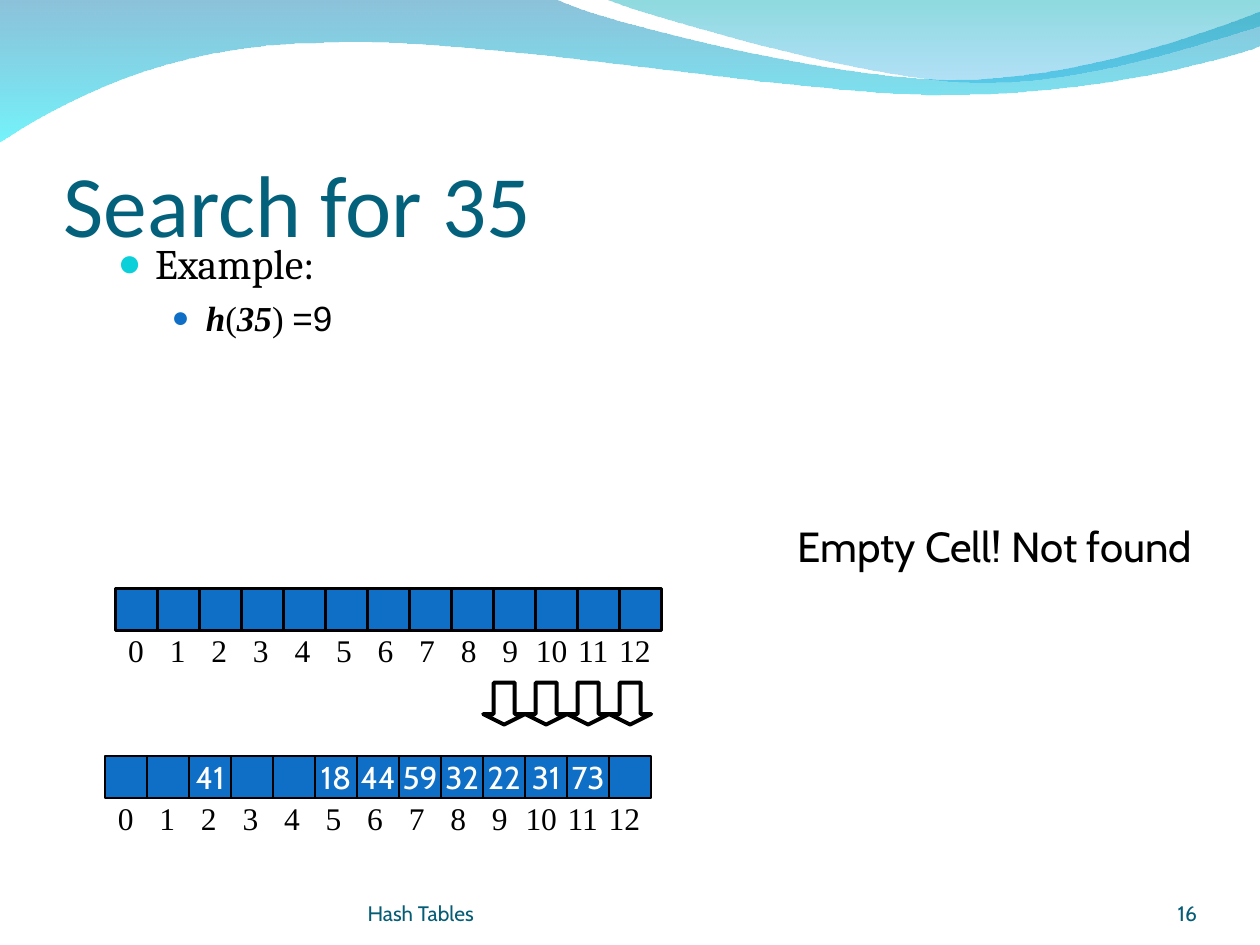
from dataclasses import dataclass

from lxml.etree import SubElement
from pptx import Presentation
from pptx.dml.color import RGBColor
from pptx.enum.shapes import MSO_SHAPE as Preset
from pptx.enum.text import MSO_ANCHOR as Anchor, MSO_AUTO_SIZE as AutoSize, PP_ALIGN as Align
from pptx.oxml.ns import qn
from pptx.util import Cm, Pt


@dataclass(frozen=True)
class Theme:
    """Colours, typefaces and type sizes of the slide."""
    ink: str = "000000"
    paper: str = "FFFFFF"
    heading: str = "04617B"
    footer: str = "045C75"
    cell: str = "0F6FC6"
    bullet: str = "0BD0D9"
    heading_face: str = "Calibri"
    body_face: str = "Cambria"
    math_face: str = "Times New Roman"
    result_face: str = "Arial"
    plain_face: str = "Cabin"
    heading_size: int = 50
    body_size: int = 24
    sub_size: int = 20
    cell_size: int = 18
    footer_size: int = 12
    left_wave: tuple = (("0079AF", 45), ("00EBF8", 55))
    right_wave: tuple = (("00ADB6", 45), ("009BE5", 30))


THEME = Theme()
INCH = 2.54
CELL = INCH / 3
LABEL_PITCH = 0.99 * CELL
PADDING = (0.25, 0.13, 0.25, 0.13)
TABLE_SIZE = 13
STORED_KEYS = {2: 41, 5: 18, 6: 44, 7: 59, 8: 32, 9: 22, 10: 31, 11: 73}
HOME_CELL = 9


def rgb(code):
    """Return a colour from its hex code."""
    return RGBColor.from_string(code)


def add_run(paragraph, text, face, size, color, bold=False, italic=False):
    """Append one styled run to a paragraph."""
    run = paragraph.add_run()
    run.text = text
    font = run.font
    font.name, font.size, font.bold, font.italic = face, Pt(size), bold, italic
    font.color.rgb = rgb(color)


def set_frame(frame, insets, anchor=Anchor.TOP, wrap=True):
    """Set the insets, anchor and wrapping of a text frame."""
    frame.margin_left, frame.margin_top, frame.margin_right, frame.margin_bottom = map(Cm, insets)
    frame.vertical_anchor = anchor
    frame.word_wrap = wrap


def add_text(slide, box, text, face, size, color, align=Align.LEFT,
             anchor=Anchor.TOP, insets=PADDING, wrap=True):
    """Place a one-line text in a box."""
    frame = slide.shapes.add_textbox(*map(Cm, box)).text_frame
    set_frame(frame, insets, anchor, wrap)
    if not wrap:
        frame.auto_size = AutoSize.SHAPE_TO_FIT_TEXT
    frame.paragraphs[0].alignment = align
    add_run(frame.paragraphs[0], text, face, size, color)


def add_bullet(paragraph, color, percent, margin, hang):
    """Give a paragraph a round bullet with a hanging indent."""
    properties = paragraph._p.get_or_add_pPr()
    properties.set("marL", str(Cm(margin)))
    properties.set("indent", str(-Cm(hang)))
    SubElement(SubElement(properties, qn("a:buClr")), qn("a:srgbClr"), val=color)
    SubElement(properties, qn("a:buSzPct"), val=str(percent * 1000))
    SubElement(properties, qn("a:buFont"), typeface=THEME.result_face)
    SubElement(properties, qn("a:buChar"), char="●")


def bend(outline, segments):
    """Turn the line triples that stand for curves into cubic curves."""
    lines = iter(outline.findall(qn("a:lnTo")))
    for segment in segments:
        corner = next(lines)
        if len(segment) == 3:
            corner.tag = qn("a:cubicBezTo")
            for follower in (next(lines), next(lines)):
                corner.append(follower[0])
                outline.remove(follower)


def add_wave(slide, box, start, segments, stops):
    """Draw a translucent wave; a segment is one corner or the three points of a curve."""
    left, top = box
    points = [(Cm(left + x * INCH), Cm(top + y * INCH))
              for x, y in [start] + [point for segment in segments for point in segment]]
    builder = slide.shapes.build_freeform(*points[0])
    builder.add_line_segments(points[1:], close=True)
    wave = builder.convert_to_shape()
    bend(next(wave._element.iter(qn("a:path"))), segments)
    wave.shadow.inherit = False
    wave.line.fill.background()
    wave.fill.gradient()
    wave.fill.gradient_angle = 270
    for stop, (color, _) in zip(wave.fill.gradient_stops, stops):
        stop.color.rgb = rgb(color)
    for node, (_, opacity) in zip(wave._element.iter(qn("a:srgbClr")), stops):
        SubElement(node, qn("a:alpha"), val=str(opacity * 1000))


def add_header(slide, box):
    """Draw the two overlapping waves at the top of the slide."""
    add_wave(slide, box, (-0.01, -0.01), [
        ((4.4, -0.01),),
        ((4.76, 0.17), (6.64, 0.63), (7.58, 0.63)), ((8.53, 0.63), (9.58, 0.26), (10, 0.09)),
        ((10.01, 0.36),),
        ((9.83, 0.44), (8.7, 0.76), (7.46, 0.75)), ((6.22, 0.75), (3.82, 0.28), (2.57, 0.34)),
        ((1.29, 0.35), (0.46, 0.83), (-0.01, 1.13))], THEME.left_wave)
    add_wave(slide, box, (4.79, -0.01), [
        ((5.09, 0.11), (6.82, 0.62), (7.69, 0.65)), ((8.56, 0.69), (9.61, 0.32), (10, 0.21)),
        ((10, 0),)], THEME.right_wave)


def add_example(slide, box):
    """Write the example and the hash value below it."""
    frame = slide.shapes.add_textbox(*map(Cm, box)).text_frame
    set_frame(frame, PADDING)
    example = frame.paragraphs[0]
    add_bullet(example, THEME.bullet, 95, 0.76, 0.76)
    add_run(example, "Example:", THEME.body_face, THEME.body_size, THEME.ink)
    value = frame.add_paragraph()
    value.level = 1
    value.space_before = Pt(5)
    add_bullet(value, THEME.cell, 85, 1.78, 0.69)
    for text, strong in (("h", True), ("(", False), ("35", True), (") ", False)):
        add_run(value, text, THEME.math_face, THEME.sub_size, THEME.ink, strong, strong)
    add_run(value, "=9", THEME.result_face, THEME.sub_size, THEME.ink)


def add_hash_table(slide, box, keys):
    """Draw a row of cells holding the keys, with the index under each cell."""
    left, top = box
    for index in range(TABLE_SIZE):
        cell = slide.shapes.add_shape(
            Preset.RECTANGLE, Cm(left + index * CELL), Cm(top), Cm(CELL), Cm(CELL))
        cell.shadow.inherit = False
        cell.fill.solid()
        cell.fill.fore_color.rgb = rgb(THEME.cell)
        cell.line.color.rgb = rgb(THEME.ink)
        cell.line.width = Pt(1.5)
        if index in keys:
            set_frame(cell.text_frame, PADDING, Anchor.MIDDLE, False)
            cell.text_frame.paragraphs[0].alignment = Align.CENTER
            add_run(cell.text_frame.paragraphs[0], str(keys[index]),
                    THEME.plain_face, THEME.cell_size, THEME.paper)
    for index in range(TABLE_SIZE):
        width = 0.81 if index < 10 else 1.14
        middle = left + 0.41 + index * LABEL_PITCH
        add_text(slide, (middle - width / 2, top + 0.74, width, 1.02), str(index),
                 THEME.math_face, THEME.cell_size, THEME.ink, Align.CENTER, wrap=False)


def add_probes(slide, box):
    """Point an arrow at every cell from the home cell to the last one."""
    left, top = box
    for index in range(HOME_CELL, TABLE_SIZE):
        probe = slide.shapes.add_shape(
            Preset.DOWN_ARROW, Cm(left + index * CELL), Cm(top), Cm(CELL), Cm(CELL))
        probe.adjustments[0], probe.adjustments[1] = 0.5, 0.25
        probe.shadow.inherit = False
        probe.fill.background()
        probe.line.color.rgb = rgb(THEME.ink)
        probe.line.width = Pt(2.25)


def add_footer(slide, box):
    """Write the lecture name and the slide number."""
    left, top, width, height = box
    style = (THEME.plain_face, THEME.footer_size, THEME.footer)
    flush = (0, 0, 0, 0)
    add_text(slide, (left, top, 9.32, height), "Hash Tables", *style,
             anchor=Anchor.BOTTOM, insets=flush)
    add_text(slide, (left + width - 2.11, top, 2.11, height), "16", *style,
             align=Align.RIGHT, anchor=Anchor.BOTTOM, insets=flush)


def main():
    """Build the slide and save it."""
    deck = Presentation()
    deck.slide_width, deck.slide_height = Cm(25.4), Cm(19.05)
    slide = deck.slides.add_slide(deck.slide_layouts[6])
    add_header(slide, (0, 0))
    add_text(slide, (1.28, 1.96, 22.86, 3.18), "Search for 35", THEME.heading_face,
             THEME.heading_size, THEME.heading, anchor=Anchor.BOTTOM, insets=(0, 0.13, 0, 0))
    add_example(slide, (2.12, 4.65, 10.58, 6.15))
    add_footer(slide, (7.41, 17.65, 16.72, 1.02))
    add_hash_table(slide, (2.33, 11.86), {})
    add_hash_table(slide, (2.12, 15.24), STORED_KEYS)
    add_probes(slide, (2.12, 13.76))
    add_text(slide, (15.46, 10.37, 9.19, 1.27), "Empty Cell! Not found", THEME.plain_face,
             THEME.body_size, THEME.ink, Align.CENTER, wrap=False)
    deck.save("out.pptx")


if __name__ == "__main__":
    main()
